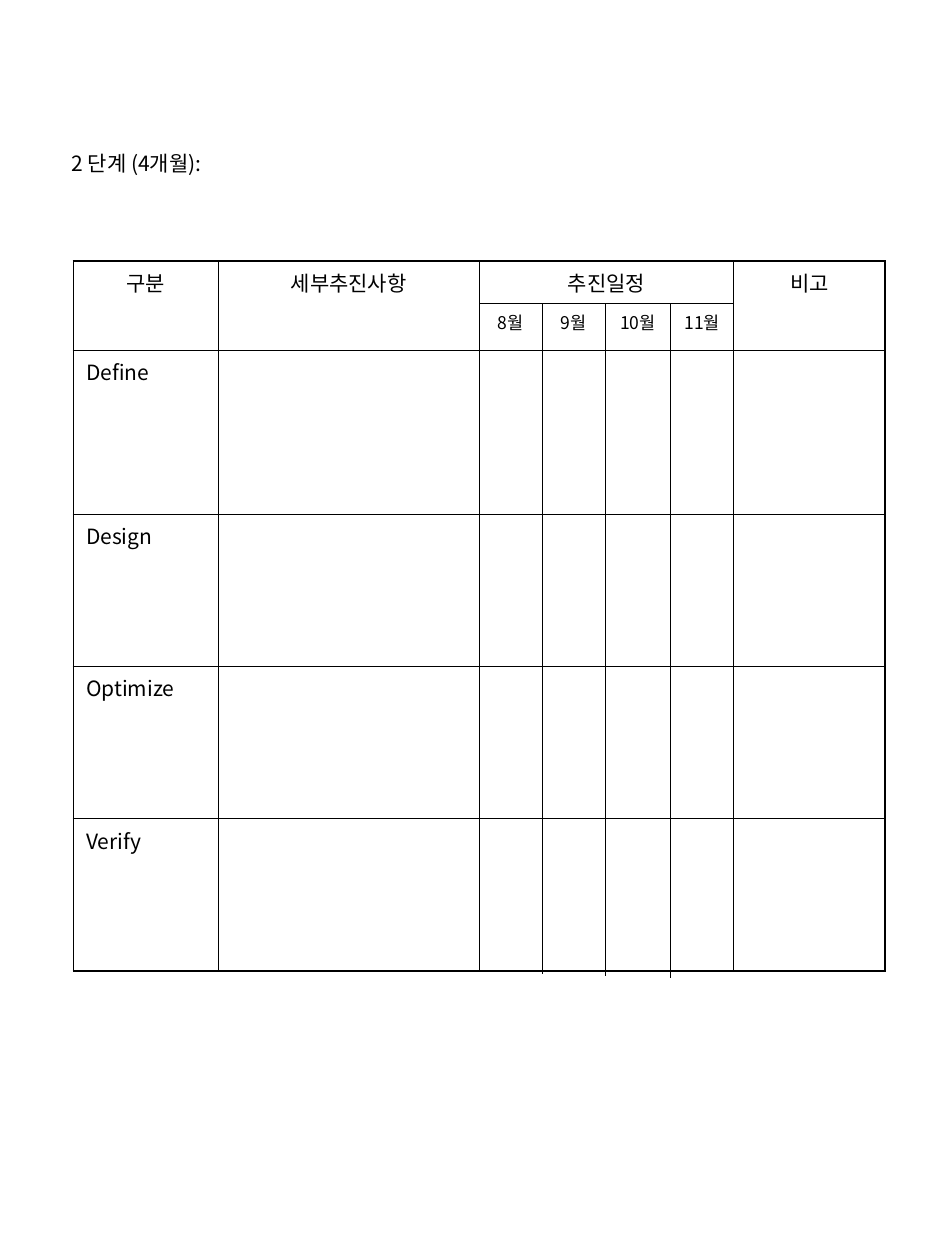
from itertools import pairwise

from lxml.etree import SubElement
from pptx import Presentation
from pptx.dml.color import RGBColor
from pptx.enum.shapes import MSO_CONNECTOR
from pptx.enum.text import MSO_AUTO_SIZE, PP_ALIGN
from pptx.oxml.ns import qn
from pptx.util import Cm, Pt

FONT = "Noto Sans CJK KR"
INK = {"text": "000000", "line": "000000"}
HEADS = ["구분", "세부추진사항", "추진일정", "비고"]
STEPS = ["Define", "Design", "Optimize", "Verify"]
MONTHS = ["8월", "9월", "10월", "11월"]
COLS = [2.92, 5.26, 5.13, 3.05]
ROWS = [1.8, 3.3, 3.07, 3.07, 3.07]
EDGES = [0, 1.27, 2.54, 3.86, 5.13]
ENDS = [14.38, 14.41, 14.45]
SPLIT = 0.86
THIN, THICK = 0.45, 1.08


def write(frame, text, size, align=PP_ALIGN.LEFT):
    """Put one styled paragraph into a text frame."""
    para = frame.paragraphs[0]
    para.text = text
    para.alignment = align
    font = para.font
    font.size = Pt(size)
    font.color.rgb = RGBColor.from_string(INK["text"])
    font.name = FONT
    style = para._p.pPr.find(qn("a:defRPr"))
    SubElement(style, qn("a:ea"), typeface=FONT)


def label(slide, box, text, size, align=PP_ALIGN.LEFT, wrap=False):
    """Add a text box at left, top, width, height in centimetres."""
    frame = slide.shapes.add_textbox(*map(Cm, box)).text_frame
    frame.word_wrap = wrap
    frame.auto_size = MSO_AUTO_SIZE.SHAPE_TO_FIT_TEXT
    write(frame, text, size, align)


def rule(slide, start, end):
    """Draw a plain line between two points in centimetres."""
    line = slide.shapes.add_connector(
        MSO_CONNECTOR.STRAIGHT, *map(Cm, (*start, *end)))
    line.line.color.rgb = RGBColor.from_string(INK["line"])
    line.line.width = Pt(0.75)
    SubElement(line._element.spPr, qn("a:effectLst"))


def border(cell, row, col):
    """Edge a cell, with thicker lines around the whole table."""
    outer = {"L": col == 0, "R": col == len(COLS) - 1,
             "T": row == 0, "B": row == len(ROWS) - 1}
    props = cell._tc.get_or_add_tcPr()
    for side, thick in outer.items():
        width = Pt(THICK if thick else THIN)
        line = SubElement(props, qn(f"a:ln{side}"), w=str(int(width)))
        fill = SubElement(line, qn("a:solidFill"))
        SubElement(fill, qn("a:srgbClr"), val=INK["line"])
    cell.fill.background()


def plan(slide, left, top):
    """Build the schedule table."""
    box = map(Cm, (left, top, sum(COLS), sum(ROWS)))
    table = slide.shapes.add_table(len(ROWS), len(COLS), *box).table
    table.first_row = table.horz_banding = False
    for column, width in zip(table.columns, COLS):
        column.width = Cm(width)
    for line, height in zip(table.rows, ROWS):
        line.height = Cm(height)
    for row in range(len(ROWS)):
        for col in range(len(COLS)):
            border(table.cell(row, col), row, col)
    for col, head in enumerate(HEADS):
        write(table.cell(0, col).text_frame, head, 12, PP_ALIGN.CENTER)
    for row, step in enumerate(STEPS, 1):
        write(table.cell(row, 0).text_frame, step, 12)


def months(slide, left, top):
    """Split the schedule column into months."""
    for edge, end in zip(EDGES[1:-1], ENDS):
        rule(slide, (left + edge, top + SPLIT), (left + edge, top + end))
    rule(slide, (left, top + SPLIT), (left + EDGES[-1], top + SPLIT))
    for month, (start, end) in zip(MONTHS, pairwise(EDGES)):
        width = 1.12 if len(month) == 2 else 1.32
        x = left + (start + end - width) / 2
        label(slide, (x, top + 0.91, width, 0.69), month, 10,
              PP_ALIGN.CENTER)


def main():
    """Build and save the slide."""
    deck = Presentation()
    deck.slide_width, deck.slide_height = Cm(19.05), Cm(25.4)
    slide = deck.slides.add_slide(deck.slide_layouts[6])
    left, top = 1.48, 5.26
    label(slide, (1.19, 2.92, 16.74, 0.76), "2 단계 (4개월):", 12, wrap=True)
    plan(slide, left, top)
    months(slide, left + sum(COLS[:2]), top)
    deck.save("out.pptx")


if __name__ == "__main__":
    main()
